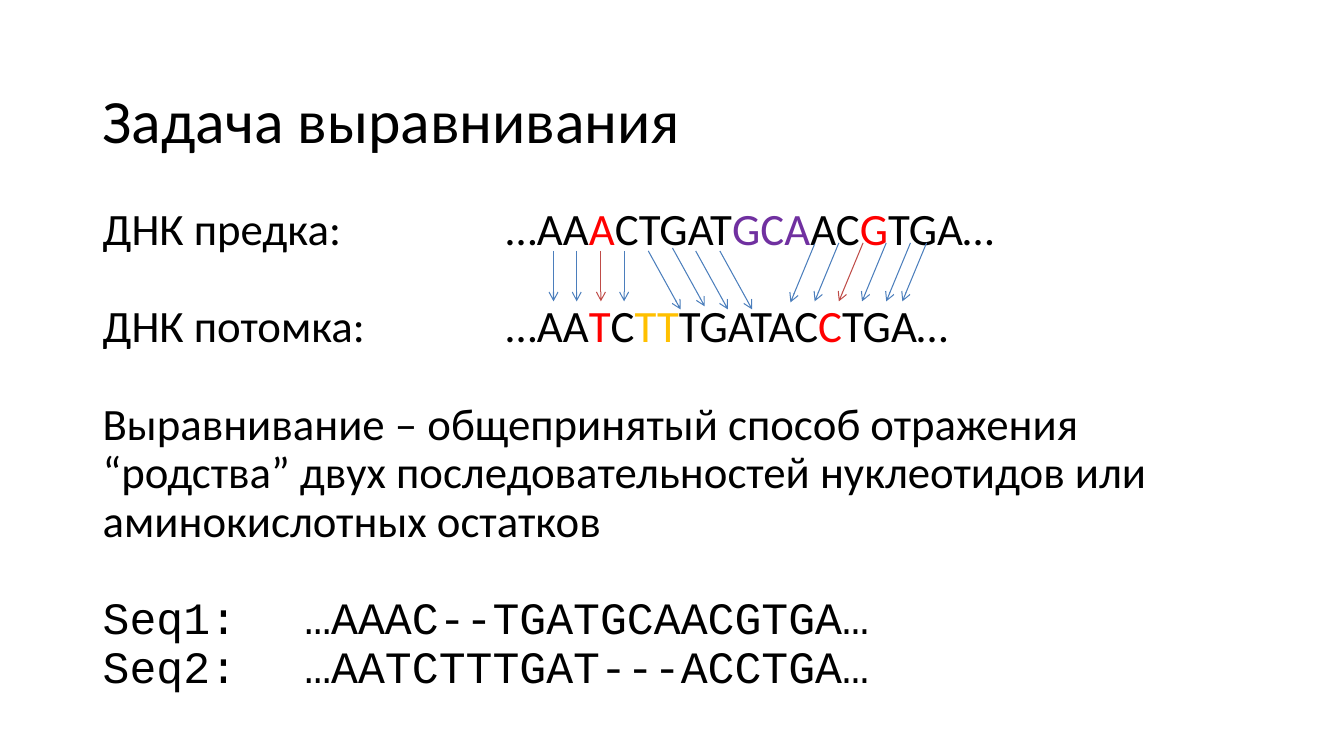
from lxml.etree import SubElement
from pptx import Presentation
from pptx.dml.color import RGBColor
from pptx.enum.shapes import MSO_CONNECTOR
from pptx.enum.text import MSO_ANCHOR, MSO_AUTO_SIZE, PP_ALIGN
from pptx.oxml.ns import qn
from pptx.util import Inches, Pt

COLORS = {
    "text": "000000",
    "substitution": "FF0000",
    "deletion": "7030A0",
    "insertion": "FFC000",
    "match_arrow": "4B7EBC",
    "mismatch_arrow": "BF4C48",
}
BLANK_LINE = 35.15  # points between blocks of text


class AlignmentSlide:
    def __init__(self, prs):
        self.slide = prs.slides.add_slide(prs.slide_layouts[5])

    def format_frame(self, frame, anchor):
        frame_format = {"word_wrap": True, "auto_size": MSO_AUTO_SIZE.NONE,
                        "vertical_anchor": anchor}
        for name, value in frame_format.items():
            setattr(frame, name, value)

    def fill_paragraph(self, paragraph, runs, size, font="Calibri", before=0, tabs=()):
        paragraph_format = {"alignment": PP_ALIGN.LEFT, "line_spacing": 0.9,
                            "space_before": Pt(before)}
        for name, value in paragraph_format.items():
            setattr(paragraph, name, value)
        if tabs:
            stops = SubElement(paragraph._p.get_or_add_pPr(), qn("a:tabLst"))
            for stop in tabs:
                SubElement(stops, qn("a:tab"), pos=str(Inches(stop)), algn="l")
        for text, color in runs:
            run = paragraph.add_run()
            run.text = text
            for name, value in {"name": font, "size": Pt(size)}.items():
                setattr(run.font, name, value)
            run.font.color.rgb = RGBColor.from_string(COLORS[color])

    def title(self, text, left, top, width, height):
        heading = self.slide.shapes.title
        place = {"left": left, "top": top, "width": width, "height": height}
        for name, value in place.items():
            setattr(heading, name, Inches(value))
        self.format_frame(heading.text_frame, MSO_ANCHOR.MIDDLE)
        self.fill_paragraph(heading.text_frame.paragraphs[0], [(text, "text")], 44)

    def body(self, paragraphs, left, top, width, height):
        box = self.slide.shapes.add_textbox(
            Inches(left), Inches(top), Inches(width), Inches(height))
        frame = box.text_frame
        self.format_frame(frame, MSO_ANCHOR.TOP)
        for i, (runs, style) in enumerate(paragraphs):
            paragraph = frame.add_paragraph() if i else frame.paragraphs[0]
            self.fill_paragraph(paragraph, runs, 32, **style)

    def arrow(self, x, top, shift, bottom, color):
        link = self.slide.shapes.add_connector(
            MSO_CONNECTOR.STRAIGHT, Inches(x), Inches(top),
            Inches(x + shift), Inches(bottom))
        link.line.color.rgb = RGBColor.from_string(COLORS[color])
        link.line.width = Pt(0.75)
        SubElement(link.line._get_or_add_ln(), qn("a:tailEnd"), type="arrow")
        SubElement(link._element.spPr, qn("a:effectLst"))


def main():
    prs = Presentation()
    prs.slide_width, prs.slide_height = Inches(13.33), Inches(7.5)
    page = AlignmentSlide(prs)

    page.title("Задача выравнивания", 0.92, 0, 11.5, 2.46)

    # DNA sequences, definition and the resulting alignment
    ancestor = [("ДНК предка:\t\t…AA", "text"), ("A", "substitution"),
                ("CTGAT", "text"), ("GCA", "deletion"), ("AC", "text"),
                ("G", "substitution"), ("TGA…", "text")]
    descendant = [("ДНК потомка:\t\t…AA", "text"), ("T", "substitution"),
                  ("C", "text"), ("TT", "insertion"), ("TGATAC", "text"),
                  ("C", "substitution"), ("TGA…", "text")]
    definition = [("Выравнивание – общепринятый способ отражения “родства” двух "
                   "последовательностей нуклеотидов или аминокислотных остатков",
                   "text")]
    first_row = [("Seq1:\t…AAAC--TGATGCAACGTGA…", "text")]
    second_row = [("Seq2:\t…AATCTTTGAT---ACCTGA…", "text")]
    dna_tabs = {"tabs": (3, 4)}
    aligned = {"font": "Courier New", "tabs": (2,)}
    page.body([
        (ancestor, dna_tabs),
        (descendant, {"before": BLANK_LINE, **dna_tabs}),
        (definition, {"before": BLANK_LINE}),
        (first_row, {"before": BLANK_LINE, **aligned}),
        (second_row, aligned),
    ], 0.92, 2, 11.5, 4.76)

    # Arrows from ancestor to descendant: starts, top, shift, bottom
    arrow_groups = [
        ((5.49, 5.72, 5.96, 6.19), 2.49, 0, 2.99),
        ((6.43,), 2.49, 0.32, 3.07),
        ((6.67,), 2.46, 0.32, 3.04),
        ((6.9, 7.14), 2.49, 0.32, 3.07),
        ((8.08,), 2.42, -0.24, 3),
        ((8.32, 8.56, 8.79, 9.03, 9.19), 2.41, -0.24, 2.99),
    ]
    mismatches = (5.96, 8.56)
    for starts, top, shift, bottom in arrow_groups:
        for x in starts:
            color = "mismatch_arrow" if x in mismatches else "match_arrow"
            page.arrow(x, top, shift, bottom, color)

    prs.save("out.pptx")


if __name__ == "__main__":
    main()
